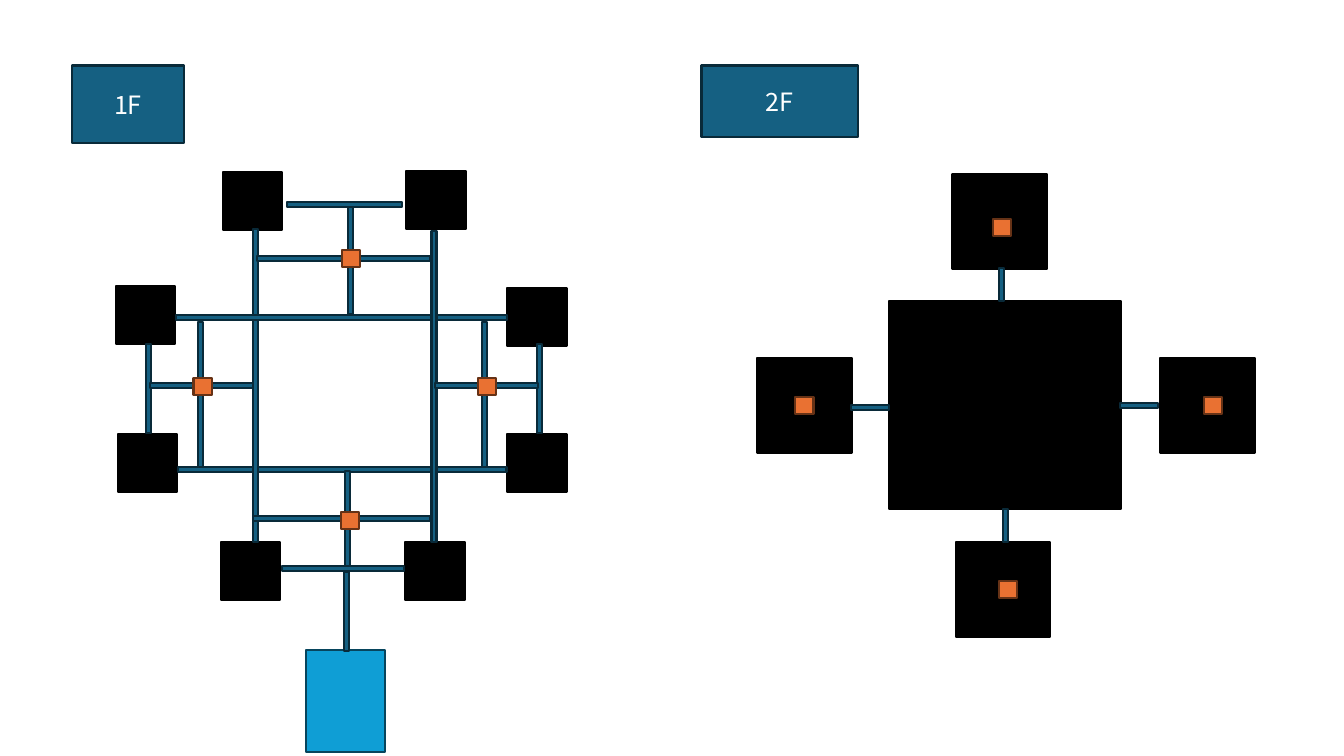
"""Build a slide with the floor plans of a building's first and second floors."""
from pptx import Presentation
from pptx.dml.color import RGBColor
from pptx.enum.shapes import MSO_SHAPE as Preset
from pptx.enum.text import MSO_ANCHOR as Anchor, PP_ALIGN as Align
from pptx.util import Pt

BLACK = RGBColor(0x00, 0x00, 0x00)
WHITE = RGBColor(0xFF, 0xFF, 0xFF)
TEAL = RGBColor(0x15, 0x60, 0x82)
DARK_TEAL = RGBColor(0x09, 0x2A, 0x39)
SKY = RGBColor(0x0F, 0x9E, 0xD5)
DARK_SKY = RGBColor(0x07, 0x45, 0x5D)
ORANGE = RGBColor(0xE9, 0x71, 0x32)
BROWN = RGBColor(0x66, 0x32, 0x16)


class FloorPlan:
    """Draws the parts of a floor plan on one slide."""

    border = Pt(1.5)
    corridor_width = 3.6
    marker_size = (13, 12.2)
    label_font = {"name": "Noto Sans CJK KR", "size": Pt(18)}

    def __init__(self, slide):
        self.slide = slide

    def block(self, left, top, width, height, fill, outline):
        box = self.slide.shapes.add_shape(
            Preset.RECTANGLE, Pt(left), Pt(top), Pt(width), Pt(height))
        box.shadow.inherit = False
        box.fill.solid()
        box.fill.fore_color.rgb = fill
        box.line.color.rgb = outline
        box.line.width = self.border
        return box

    def room(self, left, top, width, height):
        self.block(left, top, width, height, BLACK, BLACK)

    def entrance(self, left, top, width, height):
        self.block(left, top, width, height, SKY, DARK_SKY)

    def corridor(self, direction, left, top, length):
        across = direction == "across"
        width = length if across else self.corridor_width
        height = self.corridor_width if across else length
        self.block(left, top, width, height, TEAL, DARK_TEAL)

    def marker(self, left, top):
        self.block(left, top, *self.marker_size, ORANGE, BROWN)

    def label(self, text, left, top, width, height):
        frame = self.block(left, top, width, height, TEAL, DARK_TEAL).text_frame
        frame.vertical_anchor = Anchor.MIDDLE
        paragraph = frame.paragraphs[0]
        paragraph.alignment = Align.CENTER
        run = paragraph.add_run()
        run.text = text
        for attribute, value in self.label_font.items():
            setattr(run.font, attribute, value)
        run.font.color.rgb = WHITE


FIRST_FLOOR_ROOMS = [
    (157.7, 387.4), (84.2, 310.3), (82.8, 204.5), (159.1, 123.1),
    (290.2, 122.4), (362.2, 205.9), (362.2, 310.3), (289.4, 387.4),
]
SECOND_FLOOR_ROOMS = [
    (680.4, 124.6), (828.7, 255.6), (682.6, 387.4), (540.7, 255.6),
]
CORRIDORS = [
    ("across", 201.6, 404.6, 87.1),
    ("down", 245.9, 408.6, 56.2),
    ("across", 127.1, 333.7, 234.7),
    ("down", 180.7, 163.4, 223.9),
    ("across", 126, 225, 236.2),
    ("down", 308.2, 164.9, 222.5),
    ("down", 104, 245.9, 63.4),
    ("down", 383.4, 245.9, 63.4),
    ("across", 205.2, 144, 82.1),
    ("across", 107.3, 273.6, 73.4),
    ("down", 344.5, 230, 103.7),
    ("across", 311, 273.6, 73.4),
    ("across", 183.6, 182.9, 123.8),
    ("down", 248.8, 148, 76.3),
    ("down", 141.5, 230, 103.7),
    ("across", 180.7, 368.6, 126.7),
    ("down", 246.6, 336.6, 67.7),
    ("across", 607.7, 289.4, 27.4),
    ("across", 799.9, 288, 27.4),
    ("down", 716.4, 363.6, 23.8),
    ("down", 713.5, 191.5, 23.8),
]
MARKERS = [
    (138.2, 270), (244.1, 178.6), (341.3, 270), (243.4, 365.8),
    (568.1, 283.7), (859.7, 283.7), (713.5, 414.7), (709.2, 156.2),
]


def main():
    deck = Presentation()
    deck.slide_width, deck.slide_height = Pt(960), Pt(540)
    plan = FloorPlan(deck.slides.add_slide(deck.slide_layouts[6]))

    for left, top in FIRST_FLOOR_ROOMS:
        plan.room(left, top, 42.5, 41)
    plan.label("2F", 501.1, 46.8, 111.6, 51.1)
    plan.label("1F", 51.1, 46.8, 80.6, 55.4)
    plan.room(635, 215.3, 165.6, 148.3)
    for left, top in SECOND_FLOOR_ROOMS:
        plan.room(left, top, 67.7, 67.7)
    plan.entrance(218.9, 464.4, 56.2, 72.7)
    for corridor in CORRIDORS:
        plan.corridor(*corridor)
    for marker in MARKERS:
        plan.marker(*marker)

    deck.save("out.pptx")


if __name__ == "__main__":
    main()
